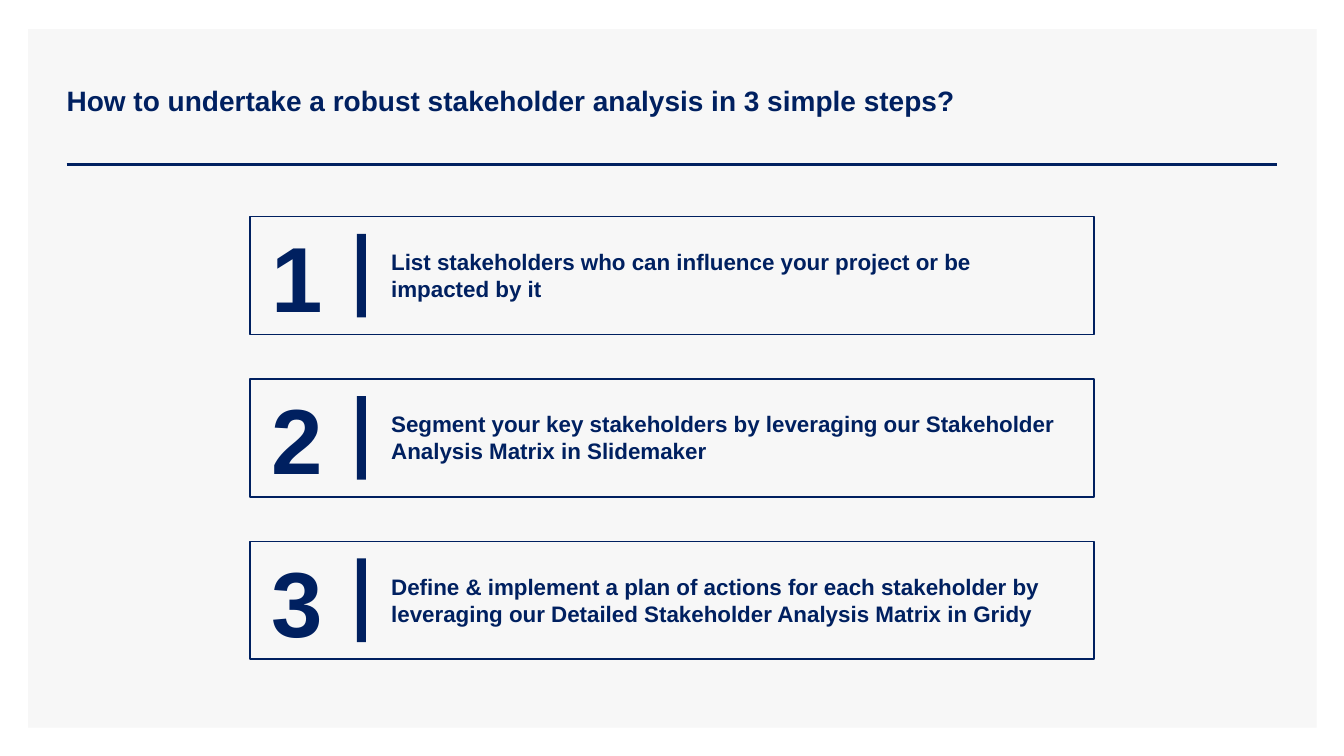
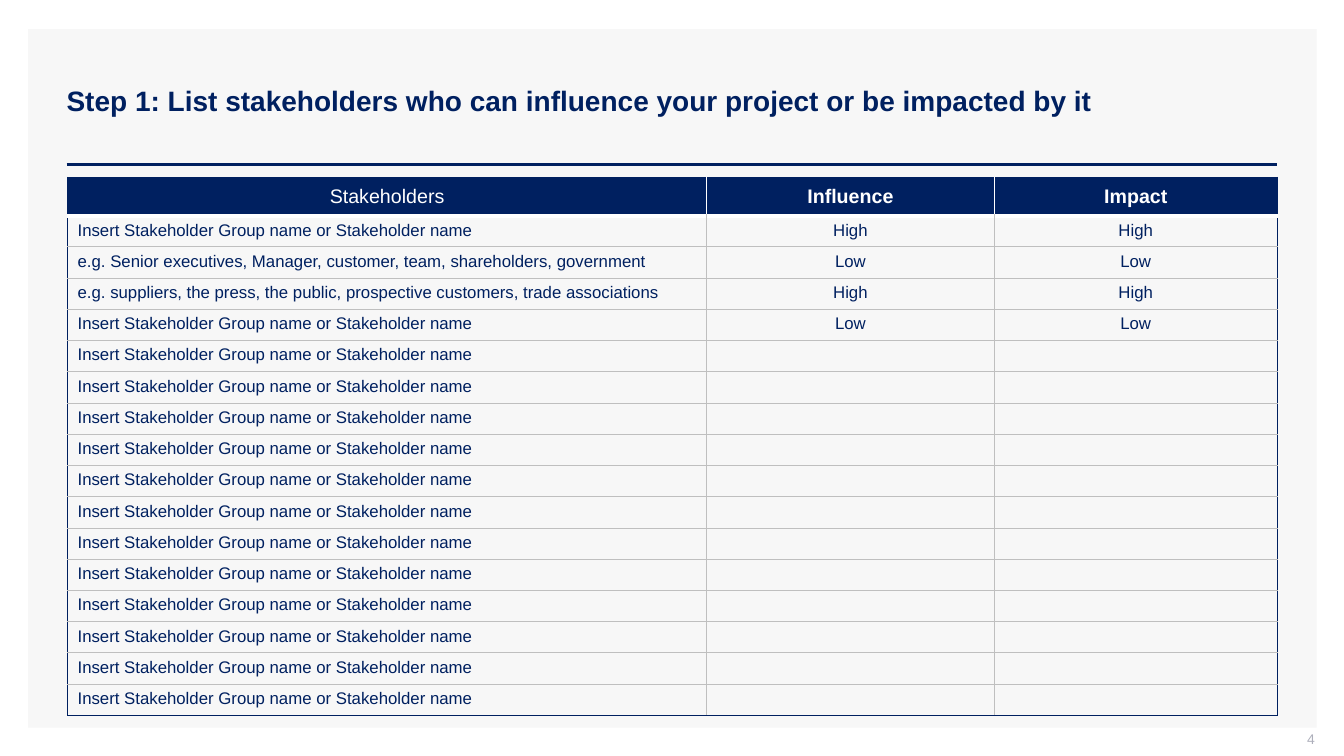
from dataclasses import dataclass

from lxml import etree
from pptx import Presentation
from pptx import util as u
from pptx.dml.color import RGBColor
from pptx.enum import shapes, text
from pptx.oxml import ns


@dataclass(frozen=True)
class Theme:
    font: str = "Arial"
    navy: str = "002060"
    panel: str = "F7F7F7"
    white: str = "FFFFFF"
    grid: str = "BFBFBF"
    page: str = "ADAFBB"
    title_size: int = 20
    number_size: int = 66
    step_size: int = 16
    header_size: int = 14
    cell_size: int = 12
    page_size: int = 10


def box(*lengths):
    return [u.Inches(v) for v in lengths]


def set_all(target, values):
    for name, value in values.items():
        setattr(target, name, value)


class Deck:
    def __init__(self, theme):
        self.theme = theme
        self.prs = Presentation()
        self.prs.slide_width, self.prs.slide_height = box(13.33, 7.5)
        self.layout = self.prs.slide_layouts[5]
        self.s = None

    def slide(self, title):
        first = self.s is None
        self.s = self.prs.slides.add_slide(self.layout)
        if first:
            self.backdrop()
        sp = self.s.shapes.title
        sp.left, sp.top, sp.width, sp.height = box(0.56, 0.4, 12.11, 1.19)
        sp.text_frame.word_wrap = True
        sp.text_frame.vertical_anchor = text.MSO_ANCHOR.MIDDLE
        self.fill_text(sp.text_frame, title, self.theme.title_size, bold=True)

    def backdrop(self):
        """Draw the panel and title rule, then hand them to the shared layout."""
        panel = self.rect(0.28, 0.29, 12.78, 6.93, fill=self.theme.panel)
        rule = self.line(0.66, 1.63, 12.67, 1.63, 2)
        tree = self.layout.shapes._spTree
        for i, part in enumerate((panel, rule)):
            tree.insert(2 + i, part._element)

    def fill_text(self, tf, words, size, color=None, bold=False,
                  align=text.PP_ALIGN.LEFT):
        p = tf.paragraphs[0]
        p.alignment = align
        r = p.add_run()
        r.text = words
        set_all(r.font, {"name": self.theme.font, "size": u.Pt(size), "bold": bold})
        r.font.color.rgb = RGBColor.from_string(color or self.theme.navy)

    def text(self, x, y, w, h, words, size, margins=(0, 0, 0, 0), **style):
        tf = self.s.shapes.add_textbox(*box(x, y, w, h)).text_frame
        sides = ("margin_left", "margin_top", "margin_right", "margin_bottom")
        set_all(tf, dict(zip(sides, box(*margins))))
        set_all(tf, {"word_wrap": True, "vertical_anchor": text.MSO_ANCHOR.MIDDLE})
        self.fill_text(tf, words, size, **style)

    def rect(self, x, y, w, h, fill=None, line=None):
        sp = self.s.shapes.add_shape(shapes.MSO_SHAPE.RECTANGLE, *box(x, y, w, h))
        sp.shadow.inherit = False
        for part, color in ((sp.fill, fill), (sp.line.fill, line)):
            if color:
                part.solid()
                part.fore_color.rgb = RGBColor.from_string(color)
            else:
                part.background()
        if line:
            sp.line.width = u.Pt(1)
        return sp

    def line(self, x1, y1, x2, y2, width):
        cn = self.s.shapes.add_connector(
            shapes.MSO_CONNECTOR.STRAIGHT, *box(x1, y1, x2, y2))
        cn.line.color.rgb = RGBColor.from_string(self.theme.navy)
        cn.line.width = u.Pt(width)
        etree.SubElement(cn._element.spPr, ns.qn("a:effectLst"))
        return cn

    def step(self, y, number, words):
        t = self.theme
        self.rect(2.48, y, 8.37, 1.17, line=t.navy)
        self.text(2.56, y + 0.01, 0.77, 1.15, str(number), t.number_size,
                  bold=True, align=text.PP_ALIGN.CENTER)
        self.text(3.88, y + 0.31, 6.7, 0.54, words, t.step_size, bold=True)
        self.rect(3.54, y + 0.17, 0.09, 0.83, fill=t.navy)

    def page_number(self, number):
        self.text(10.04, 7.25, 3, 0.21, str(number), self.theme.page_size,
                  margins=(0.1, 0, 0, 0.05), color=self.theme.page,
                  align=text.PP_ALIGN.RIGHT)

    def borders(self, cell, sides):
        """Set cell borders from a dict of side letter to (colour, points)."""
        tc_pr = cell._tc.get_or_add_tcPr()
        for i, side in enumerate("LRTB"):
            color, points = sides[side]
            ln = etree.Element(ns.qn(f"a:ln{side}"), w=str(u.Pt(points)))
            fill = etree.SubElement(ln, ns.qn("a:solidFill"))
            etree.SubElement(fill, ns.qn("a:srgbClr"), val=color)
            tc_pr.insert(i, ln)

    def table(self, x, y, widths, header_height, row_height, rows):
        t = self.theme
        last_row, last_col = len(rows) - 1, len(widths) - 1
        height = header_height + last_row * row_height
        tbl = self.s.shapes.add_table(
            len(rows), len(widths), *box(x, y, sum(widths), height)).table
        set_all(tbl, {"first_row": False, "horz_banding": False})
        for col, width in zip(tbl.columns, widths):
            col.width = u.Inches(width)
        outer, inner = (t.navy, 0.75), (t.grid, 0.75)
        divider, header_rule = (t.white, 1), (t.white, 3)
        for i, row in enumerate(rows):
            tbl.rows[i].height = u.Inches(row_height if i else header_height)
            side = inner if i else divider
            for j, words in enumerate(row):
                cell = tbl.cell(i, j)
                if i:
                    cell.fill.background()
                else:
                    cell.fill.solid()
                    cell.fill.fore_color.rgb = RGBColor.from_string(t.navy)
                self.borders(cell, {
                    "L": side if j else outer,
                    "R": side if j < last_col else outer,
                    "T": (outer, header_rule)[i] if i < 2 else inner,
                    "B": header_rule if i == 0 else inner if i < last_row else outer,
                })
                self.cell_text(cell, words, header=i == 0, first=j == 0)

    def cell_text(self, cell, words, header, first):
        t = self.theme
        if not words:
            etree.SubElement(cell.text_frame.paragraphs[0]._p,
                             ns.qn("a:endParaRPr"), sz=str(t.cell_size * 100))
            return
        centred = header or not first
        cell.vertical_anchor = (
            text.MSO_ANCHOR.MIDDLE if header else text.MSO_ANCHOR.TOP)
        self.fill_text(
            cell.text_frame, words,
            t.header_size if header else t.cell_size,
            color=t.white if header else t.navy,
            bold=header and not first,
            align=text.PP_ALIGN.CENTER if centred else text.PP_ALIGN.LEFT)


STEPS = [
    "List stakeholders who can influence your project or be impacted by it",
    "Segment your key stakeholders by leveraging our Stakeholder Analysis "
    "Matrix in Slidemaker",
    "Define & implement a plan of actions for each stakeholder by leveraging "
    "our Detailed Stakeholder Analysis Matrix in Gridy",
]
GROUP = "Insert Stakeholder Group name or Stakeholder name"
STAKEHOLDERS = [
    ("Stakeholders", "Influence", "Impact"),
    (GROUP, "High", "High"),
    ("e.g. Senior executives, Manager, customer, team, shareholders, government",
     "Low", "Low"),
    ("e.g. suppliers, the press, the public, prospective customers, "
     "trade associations", "High", "High"),
    (GROUP, "Low", "Low"),
] + [(GROUP, "", "")] * 12


def main():
    deck = Deck(Theme())

    deck.slide("How to undertake a robust stakeholder analysis in 3 simple steps?")
    for i, words in enumerate(STEPS):
        deck.step(2.15 + 1.61 * i, i + 1, words)

    deck.slide(f"Step 1: {STEPS[0]}")
    deck.page_number(4)
    deck.table(0.67, 1.76, (6.34, 2.85, 2.81), 0.38, 0.31, STAKEHOLDERS)

    deck.prs.save("out.pptx")


if __name__ == "__main__":
    main()
